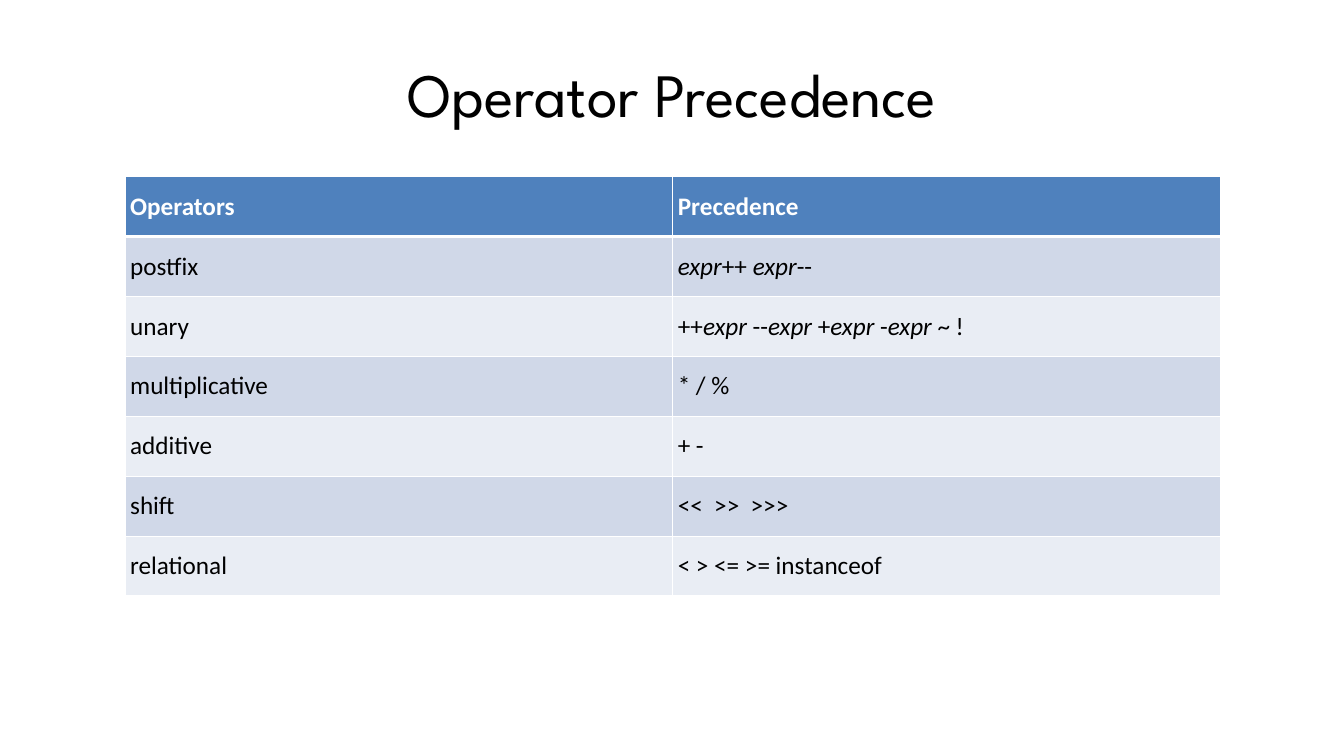
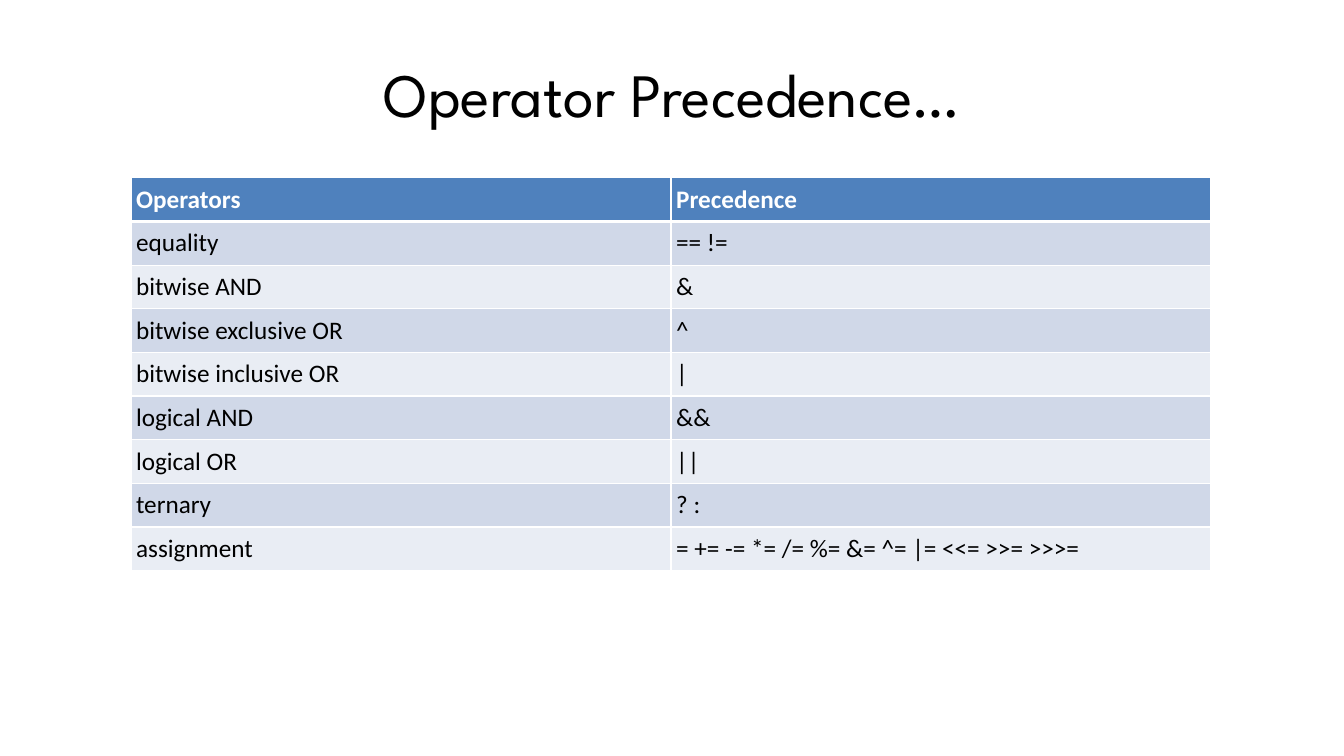
from lxml.etree import SubElement
from pptx import Presentation
from pptx.dml.color import RGBColor
from pptx.enum.text import MSO_ANCHOR, PP_ALIGN
from pptx.oxml.ns import qn
from pptx.util import Cm, Pt

COLORS = {
    "text": "000000",
    "white": "FFFFFF",
    "header": "4F81BD",
    "band_dark": "D0D8E8",
    "band_light": "E9EDF4",
}
TITLE_FONT = "League Spartan"
BODY_FONT = "Calibri"
ITALIC_WORD = "expr"
HEADER = ("Operators", "Precedence")

FIRST_ROWS = [
    ("postfix", "expr++ expr--"),
    ("unary", "++expr --expr +expr -expr ~ !"),
    ("multiplicative", "* / %"),
    ("additive", "+ -"),
    ("shift", "<<  >>  >>>"),
    ("relational", "< > <= >= instanceof"),
]
SECOND_ROWS = [
    ("equality", "== !="),
    ("bitwise AND", "&"),
    ("bitwise exclusive OR", "^"),
    ("bitwise inclusive OR", "|"),
    ("logical AND", "&&"),
    ("logical OR", "||"),
    ("ternary", "? :"),
    ("assignment", "= += -= *= /= %= &= ^= |= <<= >>= >>>="),
]


def write(p, text, font=BODY_FONT, size=18, color="text", bold=False,
          italic=False, align=PP_ALIGN.LEFT):
    p.alignment = align
    r = p.add_run()
    r.text = text
    r.font.name = font
    r.font.size = Pt(size)
    r.font.bold = bold
    r.font.italic = italic
    r.font.color.rgb = RGBColor.from_string(COLORS[color])


def set_borders(cell, top, bottom):
    tc_pr = cell._tc.get_or_add_tcPr()
    for side, width in (("L", 1), ("R", 1), ("T", top), ("B", bottom)):
        ln = SubElement(tc_pr, qn(f"a:ln{side}"), w=str(Pt(width)))
        fill = SubElement(ln, qn("a:solidFill"))
        SubElement(fill, qn("a:srgbClr"), val=COLORS["white"])


class Deck:
    def __init__(self):
        self.prs = Presentation()
        self.prs.slide_width = Cm(33.87)
        self.prs.slide_height = Cm(19.05)
        self.s = None

    def slide(self, title):
        self.s = self.prs.slides.add_slide(self.prs.slide_layouts[6])
        sp = self.s.shapes.add_textbox(Cm(1.7), Cm(0.76), Cm(30.48), Cm(3.18))
        tf = sp.text_frame
        tf.word_wrap = True
        tf.vertical_anchor = MSO_ANCHOR.MIDDLE
        write(tf.paragraphs[0], title, font=TITLE_FONT, size=44,
              align=PP_ALIGN.CENTER)

    def table(self, rows, left, top, width, row_height):
        rows = [HEADER, *rows]
        table = self.s.shapes.add_table(
            len(rows), len(HEADER), Cm(left), Cm(top), Cm(width),
            Cm(row_height * len(rows))).table
        table.horz_banding = False
        for i, texts in enumerate(rows):
            table.rows[i].height = Cm(row_height)
            for j, text in enumerate(texts):
                self.cell(table.cell(i, j), text, i)

    def cell(self, cell, text, row):
        is_header = row == 0
        band = "band_dark" if row % 2 else "band_light"
        set_borders(cell, top=3 if row == 1 else 1, bottom=3 if is_header else 1)
        cell.fill.solid()
        cell.fill.fore_color.rgb = RGBColor.from_string(
            COLORS["header" if is_header else band])
        cell.vertical_anchor = MSO_ANCHOR.MIDDLE
        cell.margin_left = cell.margin_right = Cm(0.13)
        cell.margin_top = cell.margin_bottom = Cm(0.13)
        p = cell.text_frame.paragraphs[0]
        for k, part in enumerate(text.split(ITALIC_WORD)):
            if k:
                write(p, ITALIC_WORD, italic=True)
            if part:
                write(p, part, bold=is_header,
                      color="white" if is_header else "text")


def main():
    deck = Deck()
    deck.slide("Operator Precedence")
    deck.table(FIRST_ROWS, left=3.15, top=4.45, width=27.6, row_height=1.51)
    deck.slide("Operator Precedence…")
    deck.table(SECOND_ROWS, left=3.3, top=4.48, width=27.22, row_height=1.1)
    deck.prs.save("out.pptx")


if __name__ == "__main__":
    main()
